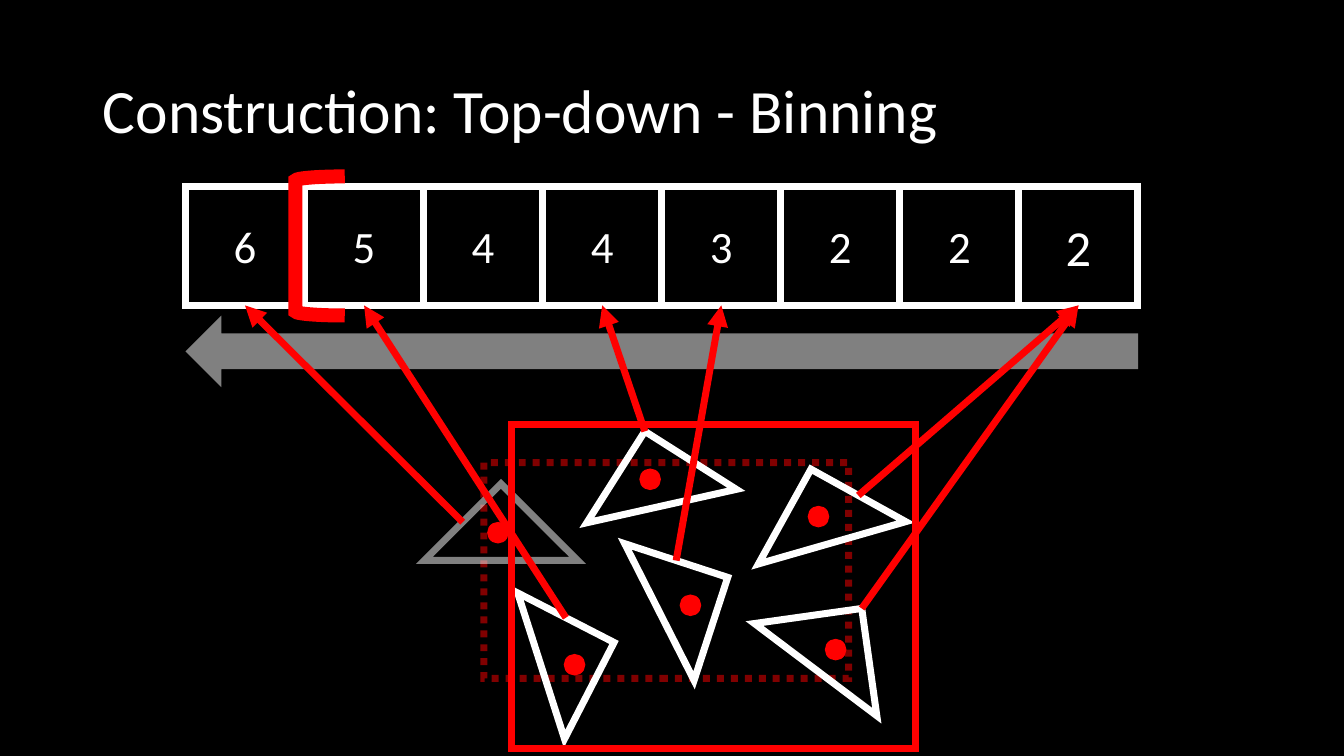
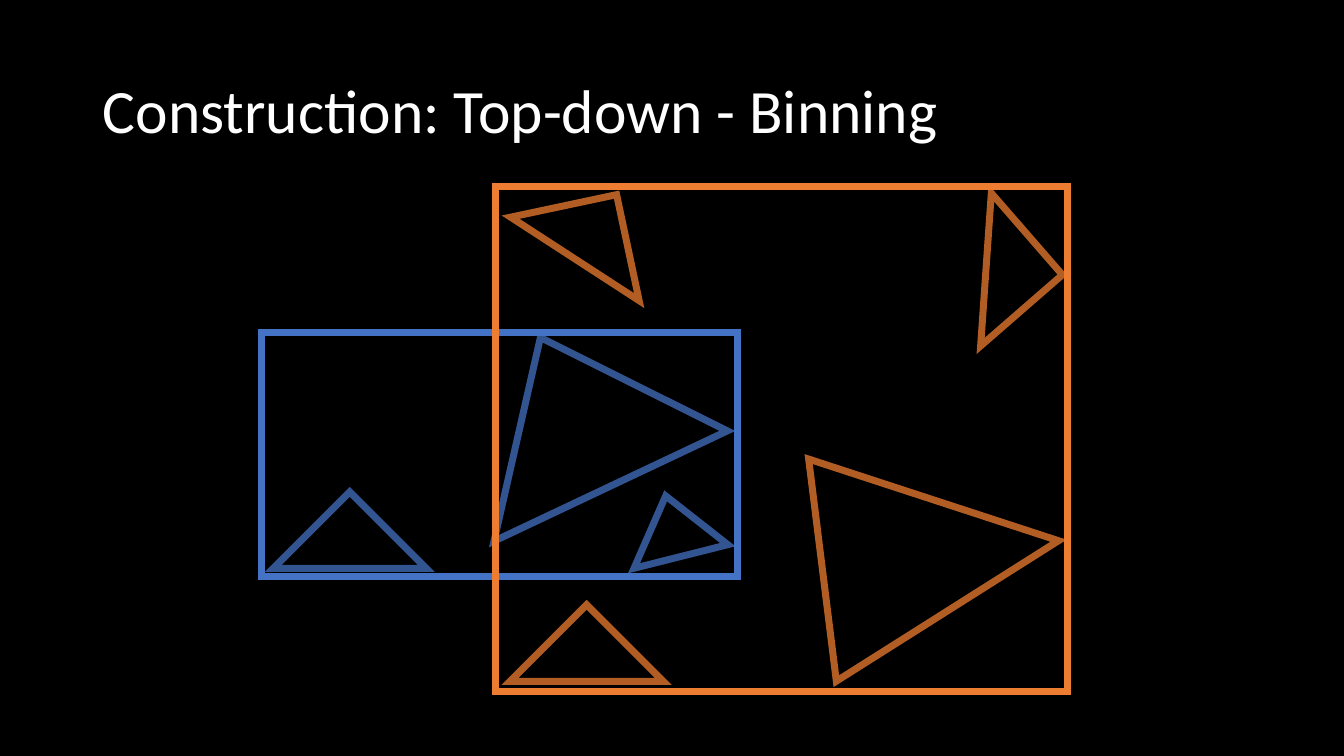
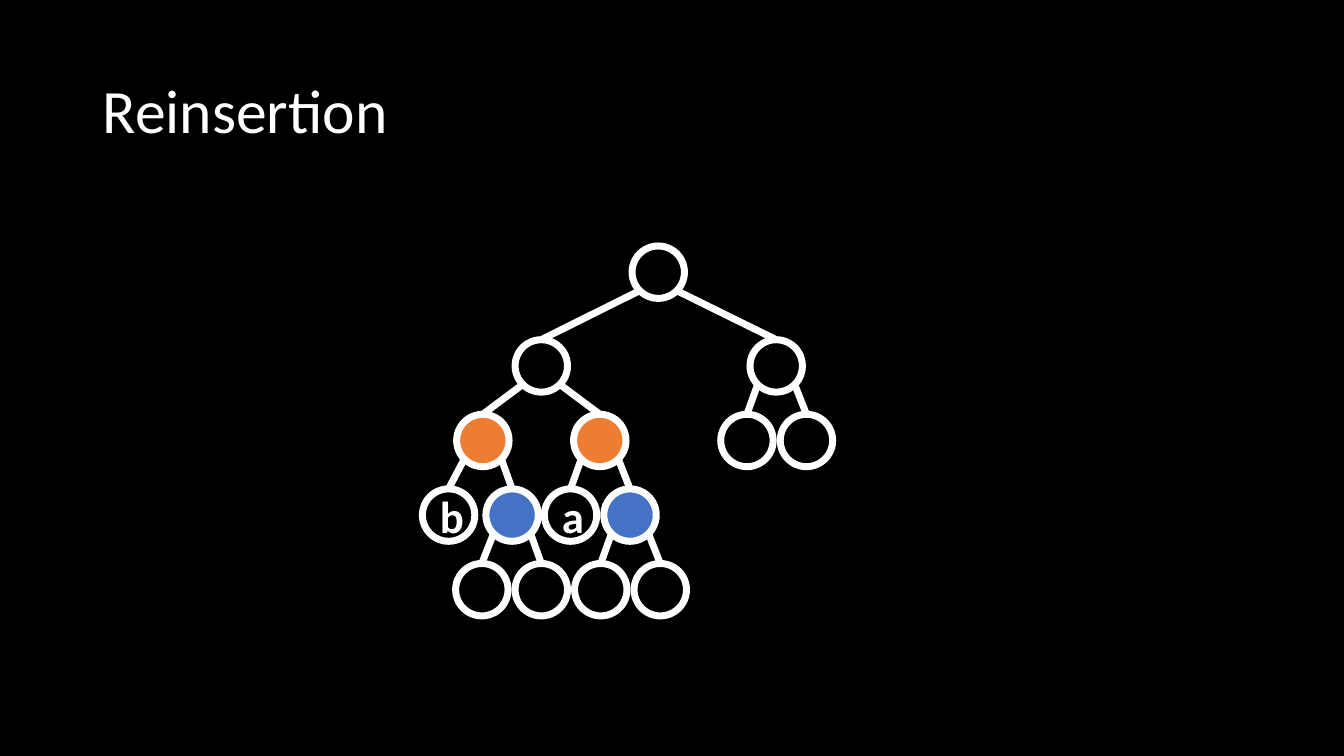
"""Build three slides on tree construction by binning and on reinsertion."""
import math

import lxml.etree
import pptx
import pptx.dml.color
import pptx.enum.dml
import pptx.enum.shapes
import pptx.enum.text
import pptx.oxml.ns
import pptx.util

SHAPE = pptx.enum.shapes.MSO_SHAPE
BLACK = pptx.dml.color.RGBColor(0x00, 0x00, 0x00)
WHITE = pptx.dml.color.RGBColor(0xFF, 0xFF, 0xFF)
GRAY = pptx.dml.color.RGBColor(0x80, 0x80, 0x80)
RED = pptx.dml.color.RGBColor(0xFF, 0x00, 0x00)
BLUE = pptx.dml.color.RGBColor(0x44, 0x72, 0xC4)
ORANGE = pptx.dml.color.RGBColor(0xED, 0x7D, 0x31)
FONT = "Calibri"
STROKE = 5
COLUMNS, ROWS = 133.33, 75
TITLE_BOX = (9.2, 4, 115, 14.5)
TRIANGLE_SIZE = (15.2, 7.6)
NODE_SIZE = 5.2
LEFT_SIDE, APEX, RIGHT_SIDE = (-0.25, 0), (0, -0.5), (0.25, 0)


def grid(*cells):
    """Turn grid columns or rows, ten to the inch, into lengths."""
    return [pptx.util.Inches(cell / 10) for cell in cells]


def add_xml(parent, tag, **attributes):
    """Append one drawing element to a parent."""
    return lxml.etree.SubElement(parent, pptx.oxml.ns.qn(tag), **attributes)


def style_line(item, color, width=STROKE, opacity=100, dash=None):
    """Give an outline its colour, width, opacity, dash and sharp corners."""
    item.line.color.rgb = color
    item.line.width = pptx.util.Pt(width)
    if dash is not None:
        item.line.dash_style = dash
    outline = item._element.spPr.find(pptx.oxml.ns.qn("a:ln"))
    if opacity < 100:
        color_mark = outline.find(".//" + pptx.oxml.ns.qn("a:srgbClr"))
        add_xml(color_mark, "a:alpha", val=str(opacity * 1000))
    add_xml(outline, "a:miter", lim="800000")
    return outline


def style_text(frame, text, size, align, bold=False):
    """Write one white, vertically centred paragraph."""
    frame.text = text
    frame.vertical_anchor = pptx.enum.text.MSO_ANCHOR.MIDDLE
    paragraph = frame.paragraphs[0]
    paragraph.alignment = align
    paragraph.font.name = FONT
    paragraph.font.size = pptx.util.Pt(size)
    paragraph.font.bold = bold
    paragraph.font.color.rgb = WHITE
    return paragraph


def add_figure(slide, kind, box, line=None, fill=None, turn=0, **line_style):
    """Add a preset shape with an optional outline and fill."""
    figure = slide.shapes.add_shape(kind, *grid(*box))
    figure.shadow.inherit = False
    figure.rotation = turn
    if fill is None:
        figure.fill.background()
    else:
        figure.fill.solid()
        figure.fill.fore_color.rgb = fill
    if line is None:
        figure.line.fill.background()
    else:
        style_line(figure, line, **line_style)
    return figure


def add_label(figure, text, size, bold=False):
    """Centre a label in a figure."""
    style_text(figure.text_frame, text, size, pptx.enum.text.PP_ALIGN.CENTER, bold)


def add_link(slide, start, target, site, color, arrow=False):
    """Draw a line from a grid point to a connection site of a target."""
    point = grid(*start)
    link = slide.shapes.add_connector(
        pptx.enum.shapes.MSO_CONNECTOR.STRAIGHT, *point, *point)
    link.end_connect(target, site)
    outline = style_line(link, color)
    if arrow:
        add_xml(outline, "a:tailEnd", type="triangle")
    add_xml(link._element.spPr, "a:effectLst")


def add_titled_slide(deck, title):
    """Add a slide with the shared title style."""
    slide = deck.slides.add_slide(deck.slide_layouts[5])
    holder = slide.shapes.title
    holder.left, holder.top, holder.width, holder.height = grid(*TITLE_BOX)
    paragraph = style_text(
        holder.text_frame, title, 44, pptx.enum.text.PP_ALIGN.LEFT)
    paragraph.line_spacing = 0.9
    holder.text_frame.auto_size = pptx.enum.text.MSO_AUTO_SIZE.NONE
    return slide


def add_bins(slide, box, counts):
    """Draw the row of bins, the sweep arrow below it and the split bracket."""
    left, top, width, height = box
    add_figure(slide, SHAPE.RIGHT_ARROW, (left, top + 12.8, width, 7.1),
               fill=GRAY, turn=180)
    step = width / len(counts)
    bins = []
    for index, count in enumerate(counts):
        cell = add_figure(slide, SHAPE.RECTANGLE,
                          (left + index * step, top, step, height), WHITE)
        add_label(cell, count, 36 if index == len(counts) - 1 else 32)
        bins.append(cell)
    add_figure(slide, SHAPE.RIGHT_BRACKET,
               (left + 10.9, top - 1, 4.9, height + 2), RED, turn=180, width=10)
    return bins


def edge_point(left, top, turn, site):
    """Find a point on a turned triangle, given as a share of its size."""
    width, height = TRIANGLE_SIZE
    x, y = site[0] * width, site[1] * height
    angle = math.radians(turn)
    return (left + width / 2 + x * math.cos(angle) - y * math.sin(angle),
            top + height / 2 + x * math.sin(angle) + y * math.cos(angle))


def add_binned_triangles(slide, box, triangles, bins):
    """Draw triangles with centroids, their bounds and an arrow to each bin."""
    left, top, _, _ = box
    add_figure(slide, SHAPE.RECTANGLE, (left - 2.7, top + 3.8, 36.2, 21.4), RED,
               opacity=50, dash=pptx.enum.dml.MSO_LINE.ROUND_DOT)
    starts = []
    for column, row, turn, site, bin_index, opacity in triangles:
        x, y = left + column, top + row
        add_figure(slide, SHAPE.ISOSCELES_TRIANGLE, (x, y, *TRIANGLE_SIZE),
                   WHITE, turn=turn, opacity=opacity)
        add_figure(slide, SHAPE.OVAL, (x + 6.3, y + 3.85, 2, 2), RED, RED, width=1)
        starts.append((edge_point(x, y, turn, site), bins[bin_index]))
    for start, target in starts:
        add_link(slide, start, target, 2, RED, arrow=True)
    add_figure(slide, SHAPE.RECTANGLE, box, RED)


def add_bounded_group(slide, box, color, triangles):
    """Draw a bounding box around its triangles."""
    left, top, _, _ = box
    for column, row, width, height, turn in triangles:
        add_figure(slide, SHAPE.ISOSCELES_TRIANGLE,
                   (left + column, top + row, width, height),
                   color, turn=turn, opacity=75)
    add_figure(slide, SHAPE.RECTANGLE, box, color)


def add_tree(slide, box, levels):
    """Draw a tree level by level, each node linked to its parent."""
    left, top, _, _ = box
    diagonal = NODE_SIZE / 2 * math.sqrt(0.5)
    parents = []
    for row, nodes in levels:
        centers = []
        for column, parent, fill, label in nodes:
            x, y = left + column, top + row + NODE_SIZE / 2
            node = add_figure(
                slide, SHAPE.OVAL,
                (x - NODE_SIZE / 2, top + row, NODE_SIZE, NODE_SIZE), WHITE, fill)
            if label:
                add_label(node, label, 32, bold=True)
            if parent is not None:
                parent_x, parent_y = parents[parent]
                side = math.copysign(diagonal, x - parent_x)
                add_link(slide, (parent_x + side, parent_y + diagonal),
                         node, 0, WHITE)
            centers.append((x, y))
        parents = centers


def build_binning(deck):
    """Build the slide that sorts triangles into bins."""
    slide = add_titled_slide(deck, "Construction: Top-down - Binning")
    bins = add_bins(slide, (18.4, 18.5, 94.5, 11.8), "65443222")
    triangles = [
        (-8.6, 5.9, 0, LEFT_SIDE, 0, 50),
        (-1, 19, 72.2, LEFT_SIDE, 1, 100),
        (6.5, 0.6, 347.4, APEX, 3, 100),
        (10.5, 13.1, 63.1, LEFT_SIDE, 4, 100),
        (24.9, 17.5, 37, APEX, 7, 100),
        (23.2, 4.3, 344, RIGHT_SIDE, 7, 100),
    ]
    add_binned_triangles(slide, (50.7, 42.1, 40.1, 32.2), triangles, bins)


def build_overlap(deck):
    """Build the slide with two overlapping bounding boxes."""
    slide = add_titled_slide(deck, "Construction: Top-down - Binning")
    add_bounded_group(slide, (25.9, 33, 47.3, 24.2), BLUE, [
        (1.2, 15.8, *TRIANGLE_SIZE, 0),
        (18.4, -0.3, 25.6, 16.3, 334.7),
        (36.1, 16.1, 9.6, 6.2, 345.9),
    ])
    add_bounded_group(slide, (49.2, 18.5, 56.7, 50.1), ORANGE, [
        (33, 24.8, 22.2, 23.6, 82.9),
        (2.3, 0.2, *TRIANGLE_SIZE, 33),
        (1.4, 41.5, *TRIANGLE_SIZE, 0),
        (44.8, 4.7, *TRIANGLE_SIZE, 94),
    ])


def build_reinsertion(deck):
    """Build the slide with the tree before reinsertion."""
    slide = add_titled_slide(deck, "Reinsertion")
    add_tree(slide, (41.9, 24.4, 40.7, 36.7), [
        (0, [(23.4, None, None, "")]),
        (9.3, [(11.8, 0, None, ""), (35.1, 0, None, "")]),
        (16.7, [(6, 0, ORANGE, ""), (17.6, 0, ORANGE, ""),
                (32.2, 1, None, ""), (38.1, 1, None, "")]),
        (24.1, [(2.6, 0, None, "b"), (8.9, 0, BLUE, ""),
                (14.7, 1, None, "a"), (20.6, 1, BLUE, "")]),
        (31.5, [(5.9, 1, None, ""), (11.8, 1, None, ""),
                (17.7, 3, None, ""), (23.6, 3, None, "")]),
    ])


def main():
    """Build and save the deck."""
    deck = pptx.Presentation()
    deck.slide_width, deck.slide_height = grid(COLUMNS, ROWS)
    backdrop = deck.slide_master.background.fill
    backdrop.solid()
    backdrop.fore_color.rgb = BLACK
    build_binning(deck)
    build_overlap(deck)
    build_reinsertion(deck)
    deck.save("out.pptx")


if __name__ == "__main__":
    main()
